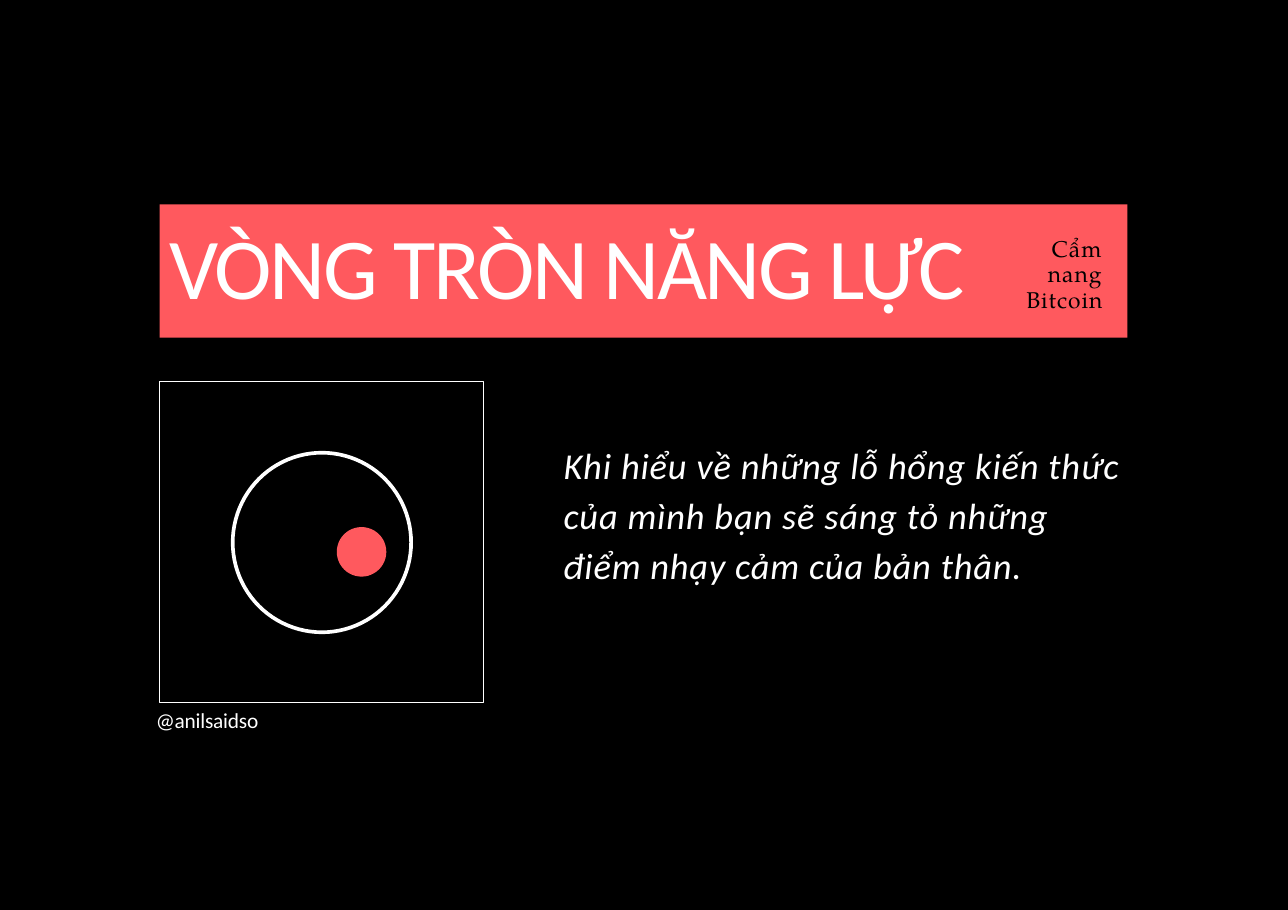
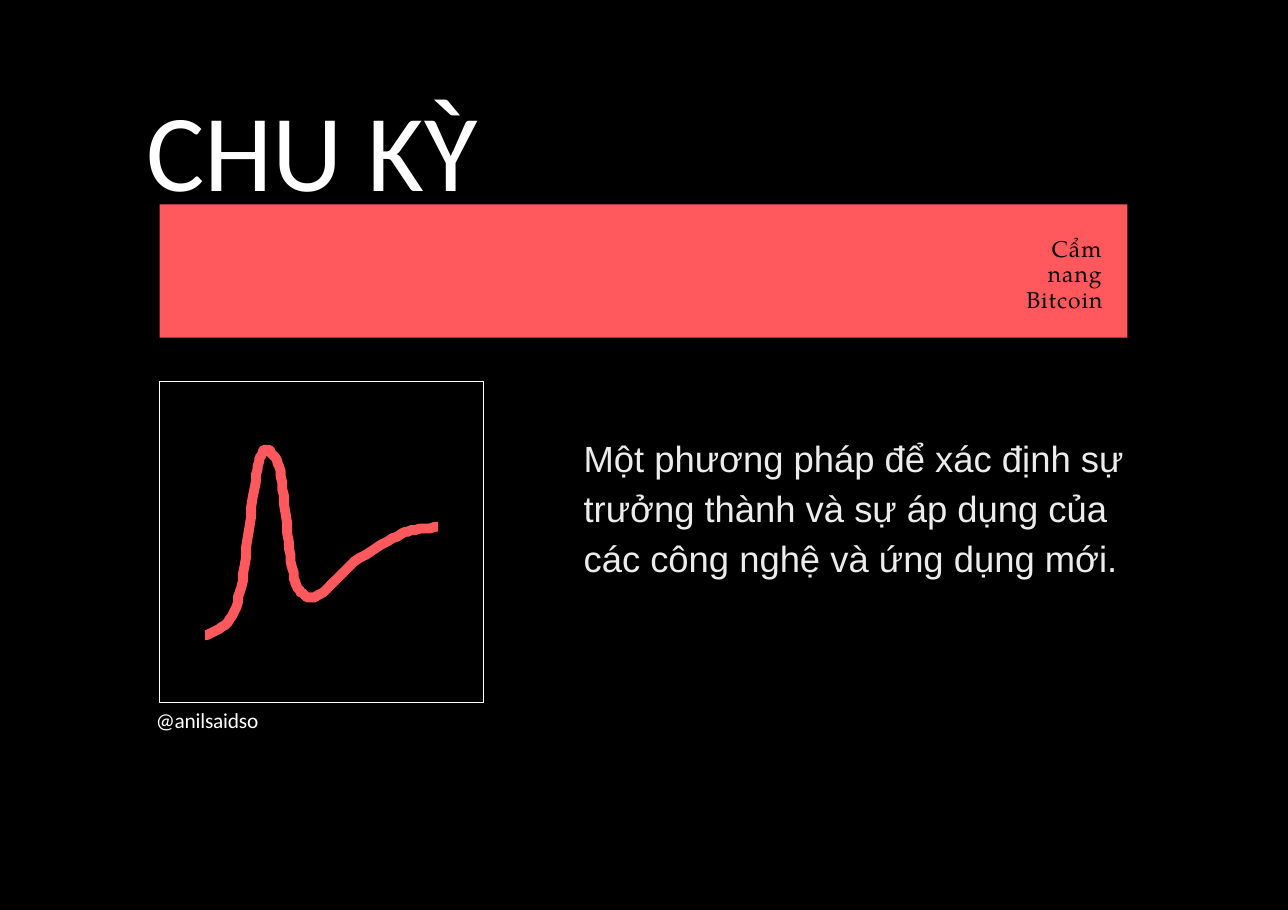
from pptx import Presentation
from pptx.dml.color import RGBColor
from pptx.enum.shapes import MSO_SHAPE as Preset
from pptx.enum.text import MSO_ANCHOR as Anchor, PP_ALIGN as Align
from pptx.util import Pt

COLORS = {"black": "000000", "white": "FFFFFF", "coral": "FF595E", "mist": "ECECEC"}
BODY_FONT, MARK_FONT = "Calibri", "TeX Gyre Pagella"
CYCLE_KNOTS = [
    (124.6, 387.4), (133.9, 383), (140.4, 377.3), (144.7, 367.2), (148.3, 349.9),
    (151.9, 321.1), (155.5, 293), (158.4, 279.4), (162, 273.6), (166.3, 277.2),
    (169.9, 284.4), (172.8, 302.4), (175.7, 329.8), (178.6, 348.5), (180.7, 357.1),
    (184.3, 361.4), (190.1, 364.3), (198.7, 359.3), (213.1, 344.9), (229, 334.1),
    (244.8, 325.4), (253.4, 322.6), (267.1, 321.1),
]


def rgb(name):
    return RGBColor.from_string(COLORS[name])


def smooth_points(knots, steps=5):
    """Return points on a Catmull-Rom curve through the knots."""
    padded = [knots[0], *knots, knots[-1]]
    points = [knots[0]]
    for a, b, c, d in zip(padded, padded[1:], padded[2:], padded[3:]):
        for step in range(1, steps + 1):
            t = step / steps
            points.append(tuple(
                0.5 * (2 * q + (r - p) * t + (2 * p - 5 * q + 4 * r - s) * t ** 2
                       + (3 * q - p - 3 * r + s) * t ** 3)
                for p, q, r, s in zip(a, b, c, d)))
    return points


class Deck:
    def __init__(self, width, height):
        self.presentation = Presentation()
        self.presentation.slide_width = Pt(width)
        self.presentation.slide_height = Pt(height)
        self.slide = None

    def add_card(self):
        """Start a slide with the shared background, frame, band and labels."""
        self.slide = self.presentation.slides.add_slide(self.presentation.slide_layouts[6])
        background = self.slide.background.fill
        background.solid()
        background.fore_color.rgb = rgb("black")
        self.shape(Preset.RECTANGLE, 97.2, 232.6, 197.3, 195.4, line="white", weight=0.75)
        self.shape(Preset.RECTANGLE, 97.2, 124.5, 589.7, 81.2, fill="coral")
        self.text("@anilsaidso", 95, 429.1, 80, 17, size=13, spacing=-0.1)
        self.text("Cẩm nang Bitcoin", 592.6, 139, 79.2, 48, size=13.9, font=MARK_FONT,
                  color="black", spacing=0.6, align=Align.RIGHT, leading=Pt(15.3),
                  first_indent=44.6, inset=5.5)

    def style(self, shape, fill=None, line=None, weight=1):
        shape.shadow.inherit = False
        if fill:
            shape.fill.solid()
            shape.fill.fore_color.rgb = rgb(fill)
        else:
            shape.fill.background()
        if line:
            shape.line.color.rgb = rgb(line)
            shape.line.width = Pt(weight)
        else:
            shape.line.fill.background()

    def shape(self, preset, left, top, width, height, **look):
        shape = self.slide.shapes.add_shape(preset, Pt(left), Pt(top), Pt(width), Pt(height))
        self.style(shape, **look)

    def curve(self, knots, **look):
        start, *rest = smooth_points(knots)
        builder = self.slide.shapes.build_freeform(*start, scale=Pt(1))
        builder.add_line_segments(rest, close=False)
        self.style(builder.convert_to_shape(), **look)

    def text(self, text, left, top, width, height, *, size, font=BODY_FONT, color="white",
             italic=False, spacing=0, align=Align.LEFT, leading=None, first_indent=0,
             inset=1.6):
        box = self.slide.shapes.add_textbox(Pt(left), Pt(top), Pt(width), Pt(height))
        frame = box.text_frame
        frame.word_wrap = True
        frame.vertical_anchor = Anchor.TOP
        frame.margin_left = frame.margin_right = frame.margin_bottom = 0
        frame.margin_top = Pt(inset)
        paragraph = frame.paragraphs[0]
        paragraph.alignment = align
        if leading:
            paragraph.line_spacing = leading
        if first_indent:
            paragraph._p.get_or_add_pPr().set("indent", str(Pt(first_indent)))
        run = paragraph.add_run()
        run.text = text
        run.font.name = font
        run.font.size = Pt(size)
        run.font.italic = italic
        run.font.color.rgb = rgb(color)
        if spacing:
            run._r.get_or_add_rPr().set("spc", str(round(spacing * 100)))

    def statement(self, text, left, top, width, **look):
        self.text(text, left, top, width, 92, size=22.2, leading=1.15, **look)


def main():
    deck = Deck(784.8, 554.4)

    deck.add_card()
    deck.text("VÒNG TRÒN NĂNG LỰC", 103, 124.5, 568, 68.4, size=52.8, spacing=-1.4, inset=5.2)
    deck.statement("Khi hiểu về những lỗ hổng kiến thức của mình bạn sẽ sáng tỏ "
                   "những điểm nhạy cảm của bản thân.",
                   343.4, 264.2, 345, italic=True, spacing=0.5)
    deck.shape(Preset.OVAL, 141.8, 275.8, 108.7, 109.4, line="white", weight=2.25)
    deck.shape(Preset.OVAL, 205.2, 321.1, 30.2, 30.2, fill="coral")

    deck.add_card()
    deck.text("CHU KỲ", 89.2, 48.2, 514, 82, size=66.7)
    deck.statement("Một phương pháp để xác định sự trưởng thành và sự áp dụng của "
                   "các công nghệ và ứng dụng mới.",
                   355.6, 260, 332.6, font="Arial", color="mist")
    deck.curve(CYCLE_KNOTS, line="coral", weight=6)

    deck.presentation.save("out.pptx")


if __name__ == "__main__":
    main()
